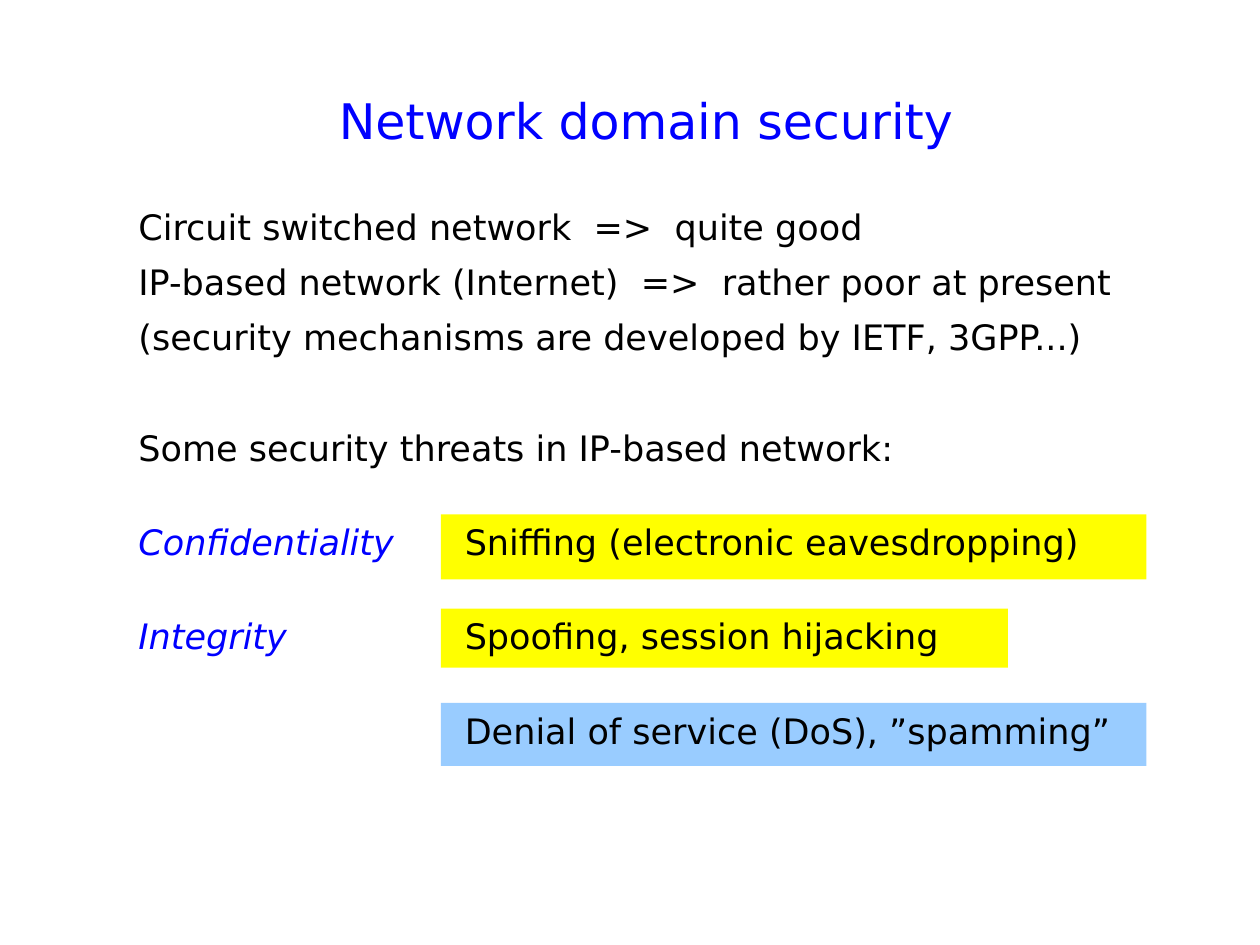
from pptx import Presentation
from pptx.dml.color import RGBColor
from pptx.enum.shapes import MSO_SHAPE
from pptx.enum.text import MSO_ANCHOR, MSO_AUTO_SIZE, PP_ALIGN
from pptx.oxml.ns import qn
from pptx.util import Cm, Pt

FONT = "DejaVu Sans"
BLACK, BLUE, YELLOW, LIGHT_BLUE = "000000", "0000FF", "FFFF00", "99CCFF"
LEFT = 2.54
ROW_PITCH = 1.9

STATEMENTS = [
    "Circuit switched network  =>  quite good",
    "IP-based network (Internet)  =>  rather poor at present",
    "(security mechanisms are developed by IETF, 3GPP...)",
]
# Security goal, threat, bar width, bar height, bar colour
THREATS = [
    ("Confidentiality", "Sniffing (electronic eavesdropping)", 14.22, 1.31, YELLOW),
    ("Integrity", "Spoofing, session hijacking", 11.43, 1.19, YELLOW),
    (None, "Denial of service (DoS), ”spamming”", 14.22, 1.27, LIGHT_BLUE),
]


def color(value):
    return RGBColor.from_string(value)


def place(shape, left, top, width, height):
    shape.left, shape.top = Cm(left), Cm(top)
    shape.width, shape.height = Cm(width), Cm(height)


def write(shape, lines, size=20, ink=BLACK, italic=False,
          align=PP_ALIGN.LEFT, gap=0, inset=0.25):
    """Fill a shape with top-anchored, unbulleted paragraphs."""
    frame = shape.text_frame
    frame.text = "\n".join(lines)
    frame.word_wrap = True
    frame.auto_size = MSO_AUTO_SIZE.NONE
    frame.vertical_anchor = MSO_ANCHOR.TOP
    frame.margin_left = Cm(inset)
    for index, para in enumerate(frame.paragraphs):
        para.alignment = align
        para.space_before = Pt(gap if index else 0)
        for span in para.runs:
            span.font.name = FONT
            span.font.size = Pt(size)
            span.font.italic = italic
            span.font.color.rgb = color(ink)


def remove_bullets(shape):
    for para in shape.text_frame.paragraphs:
        properties = para._p.get_or_add_pPr()
        properties.set("marL", "0")
        properties.set("indent", "0")
        properties.append(properties.makeelement(qn("a:buNone"), {}))


def add_label(page, text, left, top, width, height, **style):
    box = page.shapes.add_textbox(Cm(left), Cm(top), Cm(width), Cm(height))
    write(box, [text], **style)


def add_bar(page, text, left, top, width, height, fill):
    bar = page.shapes.add_shape(
        MSO_SHAPE.RECTANGLE, Cm(left), Cm(top), Cm(width), Cm(height))
    bar.shadow.inherit = False
    bar.fill.solid()
    bar.fill.fore_color.rgb = color(fill)
    bar.line.fill.background()
    write(bar, [text], inset=0.48)


def add_heading(page, left, top, width, height):
    title = page.shapes.title
    place(title, left, top, width, height)
    write(title, ["Network domain security"], size=28, ink=BLUE,
          align=PP_ALIGN.CENTER)


def add_statements(page, left, top, width, height):
    body = page.placeholders[1]
    place(body, left, top, width, height)
    write(body, STATEMENTS, gap=7.5)
    remove_bullets(body)


def add_threats(page, left, top):
    add_label(page, "Some security threats in IP-based network:",
              left, top, 16.8, 1.52)
    for row, (goal, threat, width, height, fill) in enumerate(THREATS):
        row_top = top + ROW_PITCH * (row + 1)
        add_bar(page, threat, left + 6.35, row_top, width, height, fill)
        if goal:
            add_label(page, goal, left, row_top, 5.92, 1.12,
                      ink=BLUE, italic=True)


def main():
    deck = Presentation()
    deck.slide_width, deck.slide_height = Cm(25.4), Cm(19.05)
    page = deck.slides.add_slide(deck.slide_layouts[1])
    add_heading(page, LEFT, 1.7, 20.96, 1.45)
    add_statements(page, LEFT, 4.01, 21.16, 3.33)
    add_threats(page, LEFT, 8.47)
    deck.save("out.pptx")


if __name__ == "__main__":
    main()
